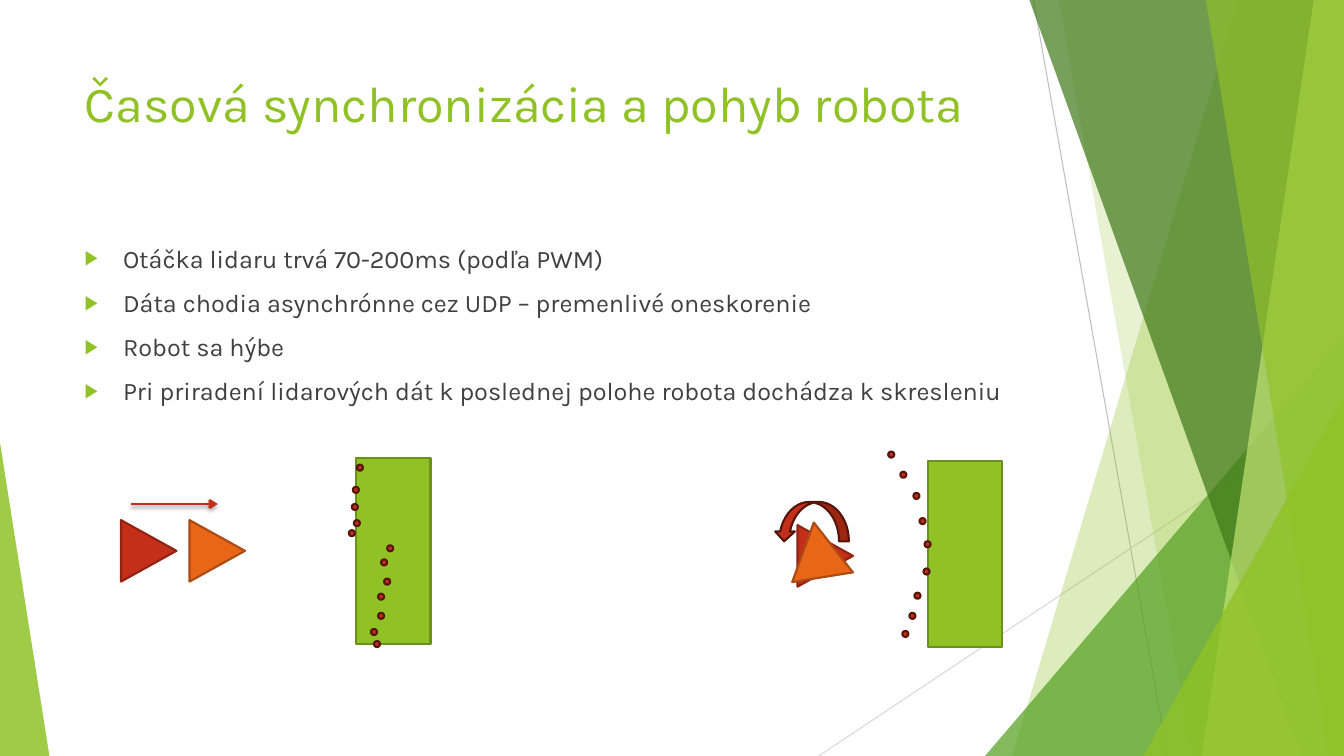
"""Build the slide on time synchronisation and robot motion."""
from lxml import etree
from pptx import Presentation
from pptx.dml.color import RGBColor
from pptx.enum.shapes import MSO_CONNECTOR, MSO_SHAPE
from pptx.enum.text import MSO_ANCHOR, MSO_AUTO_SIZE, PP_ALIGN
from pptx.oxml import parse_xml
from pptx.oxml.ns import qn
from pptx.util import Inches, Pt

LINE = MSO_CONNECTOR.STRAIGHT
WEDGE = MSO_SHAPE.ISOSCELES_TRIANGLE
RECT = MSO_SHAPE.RECTANGLE
DOT = MSO_SHAPE.OVAL
CURVE = MSO_SHAPE.CURVED_DOWN_ARROW
TOP = MSO_ANCHOR.TOP
LEFT = PP_ALIGN.LEFT
FIXED = MSO_AUTO_SIZE.NONE

LIME = RGBColor(0x90, 0xC2, 0x26)
MOSS = RGBColor(0x6B, 0x90, 0x1C)
LEAF = RGBColor(0x54, 0xA0, 0x21)
PINE = RGBColor(0x3F, 0x78, 0x19)
PALE = RGBColor(0xC0, 0xE4, 0x74)
RED = RGBColor(0xC4, 0x2F, 0x1A)
BRICK = RGBColor(0x91, 0x23, 0x13)
WINE = RGBColor(0x56, 0x15, 0x0B)
AMBER = RGBColor(0xE7, 0x66, 0x18)
RUST = RGBColor(0xAB, 0x4B, 0x12)
INK = RGBColor(0x40, 0x40, 0x40)
GREY = RGBColor(0xBF, 0xBF, 0xBF)
MIST = RGBColor(0xD9, 0xD9, 0xD9)

FONT = "Karla"
CELL = Inches(0.01)
COLS, ROWS = 1333, 750
SIDE = 6
NS = "http://schemas.openxmlformats.org/drawingml/2006/main"

deck = Presentation()
deck.slide_width, deck.slide_height = COLS * CELL, ROWS * CELL
slide = deck.slides.add_slide(deck.slide_layouts[1])
shapes = slide.shapes


def paint(shape, fill, edge=None, alpha=None):
    """Fill a shape, with an edge or a share of opacity."""
    shape.shadow.inherit = False
    shape.fill.solid()
    shape.fill.fore_color.rgb = fill
    if edge:
        shape.line.color.rgb = edge
        shape.line.width = Pt(1.5)
    else:
        shape.line.fill.background()
    if alpha:
        tint = shape.fill._xPr.find(".//" + qn("a:srgbClr"))
        etree.SubElement(tint, qn("a:alpha")).set("val", str(alpha * 1000))


def link(ends, color, width):
    """Draw a straight line with no shadow and return it with its effects."""
    line = shapes.add_connector(LINE, *[n * CELL for n in ends])
    line.line.color.rgb = color
    line.line.width = Pt(width)
    props = line._element.spPr
    return line, etree.SubElement(props, qn("a:effectLst"))


link((1025, 0, 1158, ROWS), GREY, 0.75)
link((COLS, 403, 812, ROWS), MIST, 0.75)

shards = [
    (1228, 1004, LIME, 30),
    (1050, 1183, LIME, 20),
    (977, 333, 356, 1, LEAF, 72),
    (1021, 1291, PINE, 70),
    (1303, 1192, PALE, 70),
    (1196, 1318, LIME, 65),
    (1134, 393, 199, 1, LIME, 80),
    (0, 439, 49, 0, LIME, 85),
]
for *place, color, alpha in shards:
    if len(place) == 2:
        head, foot = place
        pen = shapes.build_freeform(head, 0, scale=CELL)
        pen.add_line_segments([(COLS, 0), (COLS, ROWS), (foot, ROWS)])
        shard = pen.convert_to_shape()
    else:
        x, y, wide, peak = place
        box = [n * CELL for n in (x, y, wide, ROWS - y)]
        shard = shapes.add_shape(WEDGE, *box)
        shard.adjustments[0] = peak
    paint(shard, color, alpha=alpha)

title, body = shapes.title, slide.placeholders[1]
title.text_frame.text = "Časová synchronizácia a pohyb robota"
body.text_frame.text = "\n".join([
    "Otáčka lidaru trvá 70-200ms (podľa PWM)",
    "Dáta chodia asynchrónne cez UDP – premenlivé oneskorenie",
    "Robot sa hýbe",
    "Pri priradení lidarových dát k poslednej polohe robota dochádza k skresleniu",
])
tree = title.element.getparent()
for holder, y, tall, size, color in [
    (title, 67, 144, 36, LIME),
    (body, 236, 424, 18, INK),
]:
    tree.append(holder.element)
    holder.left, holder.top = 74 * CELL, y * CELL
    holder.width, holder.height = 940 * CELL, tall * CELL
    frame = holder.text_frame
    frame.word_wrap = True
    frame.auto_size = FIXED
    frame.vertical_anchor = TOP
    for para in frame.paragraphs:
        para.alignment = LEFT
        for run in para.runs:
            run.font.name = FONT
            run.font.size = Pt(size)
            run.font.color.rgb = color

for i, para in enumerate(body.text_frame.paragraphs):
    props = para._p.get_or_add_pPr()
    props.set("marL", str(38 * CELL))
    props.set("indent", str(-38 * CELL))
    for mark in [
        f'<a:buClr xmlns:a="{NS}"><a:srgbClr val="{LIME}"/></a:buClr>',
        f'<a:buSzPct xmlns:a="{NS}" val="80000"/>',
        f'<a:buChar xmlns:a="{NS}" char="▶"/>',
    ]:
        props.append(parse_xml(mark))
    para.space_before = Pt(10 if i else 0)

parts = [
    (WEDGE, 117, 519, 61, 55, 90, RED, BRICK),
    (WEDGE, 185, 519, 61, 55, 90, AMBER, RUST),
    (RECT, 353, 454, 74, 185, 0, LIME, MOSS),
    (WEDGE, 788, 524, 61, 55, 90, RED, BRICK),
    (WEDGE, 781, 518, 61, 55, 350.9, AMBER, RUST),
    (CURVE, 768, 498, 74, 39, 0, RED, WINE),
    (RECT, 920, 457, 74, 185, 0, LIME, MOSS),
]
for kind, x, y, wide, tall, turn, fill, edge in parts:
    part = shapes.add_shape(kind, *[n * CELL for n in (x, y, wide, tall)])
    part.rotation = turn
    paint(part, fill, edge)
    if kind == CURVE:
        part.element.spPr.find(qn("a:xfrm")).set("flipH", "1")

arrow, glow = link((130, 500, 216, 500), RED, 2)
glow.append(parse_xml(
    f'<a:outerShdw xmlns:a="{NS}" blurRad="{Pt(3)}" dist="{Pt(2)}" '
    'dir="5400000" rotWithShape="0"><a:srgbClr val="000000">'
    '<a:alpha val="35000"/></a:srgbClr></a:outerShdw>'
))
tip = etree.SubElement(arrow.line._get_or_add_ln(), qn("a:tailEnd"))
tip.set("type", "arrow")

dots = [
    (354, 461), (350, 483), (349, 500), (351, 516), (346, 526), (384, 541),
    (378, 555), (381, 574), (375, 589), (375, 608), (368, 624), (371, 636),
    (917, 537), (912, 514), (906, 489), (893, 468), (881, 448), (916, 564),
    (907, 588), (902, 608), (895, 626),
]
for x, y in dots:
    dot = shapes.add_shape(DOT, x * CELL, y * CELL, SIDE * CELL, SIDE * CELL)
    paint(dot, RED, WINE)

deck.save("out.pptx")
